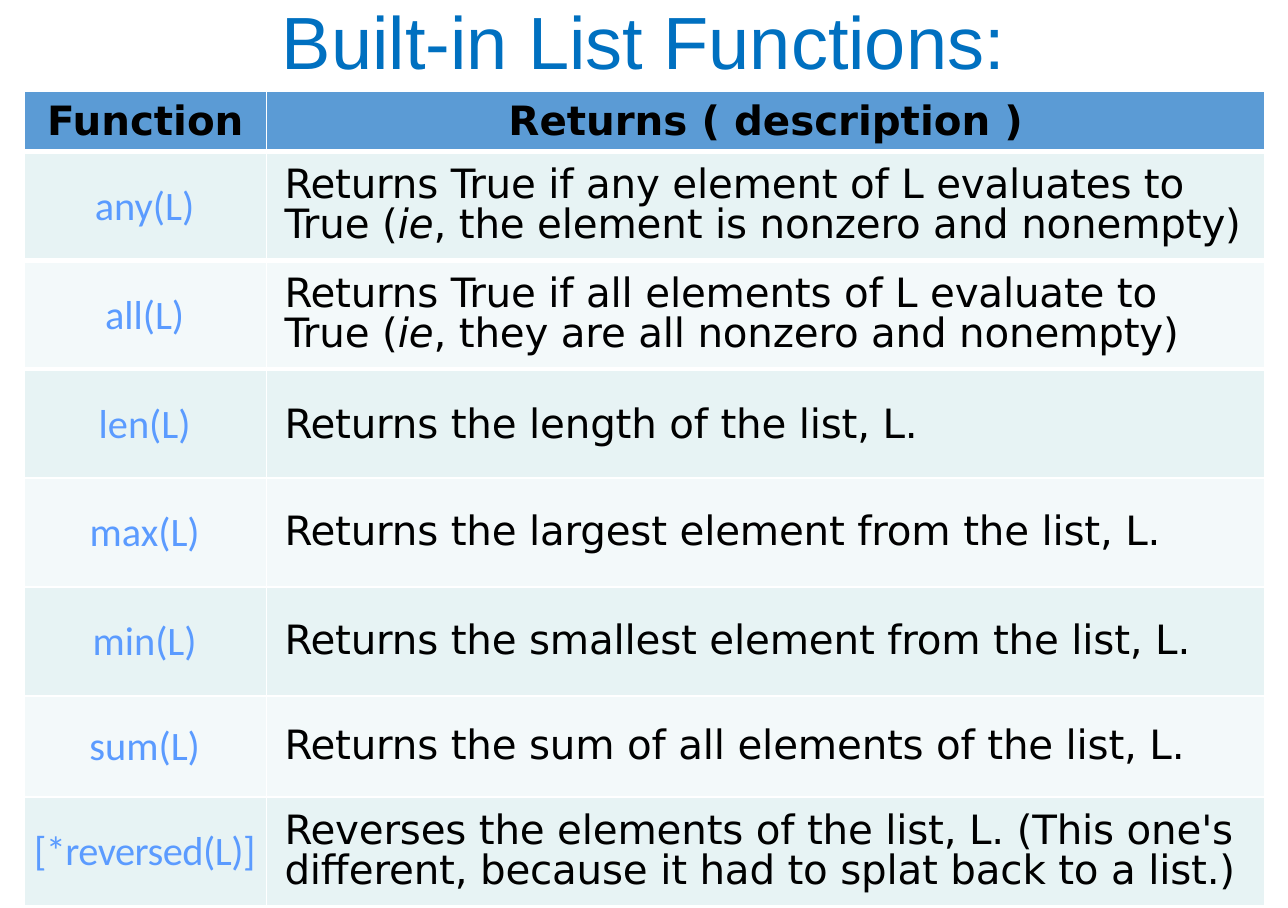
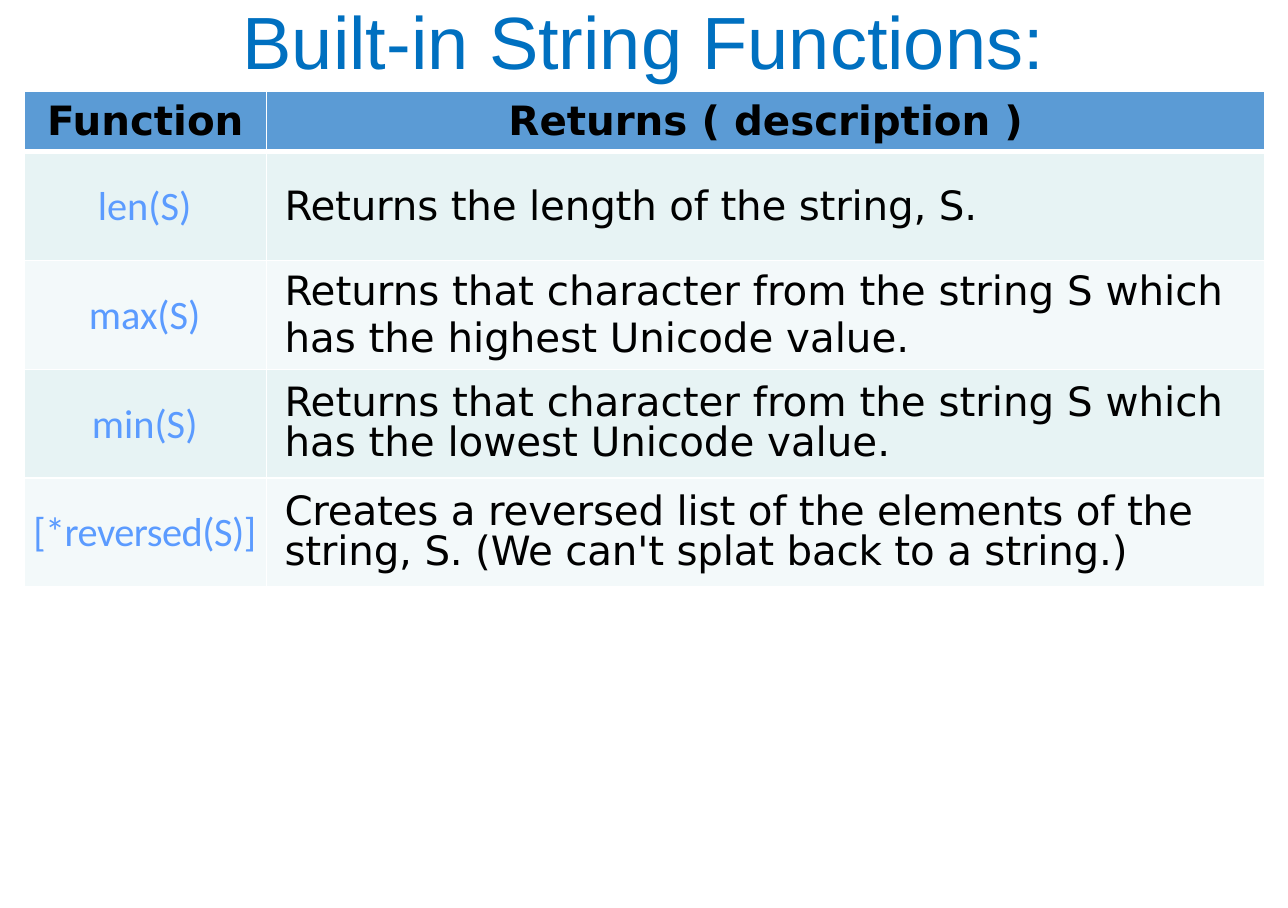
from dataclasses import dataclass

from lxml import etree
from pptx import Presentation
from pptx.dml import color
from pptx.enum import text
from pptx.oxml import ns
from pptx.util import Pt

TITLE_BLUE, HEADER_BLUE, NAME_BLUE = "0070C0", "5B9BD5", "5B9BFF"
BANDS = ("E7F3F4", "F3F9FA")
WHITE, BLACK = "FFFFFF", "000000"
TITLE_FONT, NAME_FONT, BODY_FONT = "Arial", "Calibri", "DejaVu Sans"
TITLE_BOX = (5, 0, 756, 54)
TABLE_LEFT, TABLE_TOP = 14.4, 54
COLUMNS = (144, 594)
HEADER_HEIGHT = 36
THIN, THICK = 1, 3


@dataclass
class Entry:
    """One table row; underscores in the description enclose italics."""
    name: str
    description: str
    line_spacing: float = 0.85
    tracking: float = -0.1
    name_tracking: float = 0
    rule_below: float = THIN
    height: float = 64.8


LIST_ENTRIES = [
    Entry("any(L)", "Returns True if any element of L evaluates to True "
          "(_ie_, the element is nonzero and nonempty)", rule_below=THICK),
    Entry("all(L)", "Returns True if all elements of L evaluate to\nTrue "
          "(_ie_, they are all nonzero and nonempty)", rule_below=THICK),
    Entry("len(L)", "Returns the length of the list, L.", line_spacing=1),
    Entry("max(L)", "Returns the largest element from the list, L."),
    Entry("min(L)", "Returns the smallest element from the list, L."),
    Entry("sum(L)", "Returns the sum of all elements of the list, L.", height=60),
    Entry("[*reversed(L)]", "Reverses the elements of the list, L. (This one's "
          "different, because it had to splat back to a list.)", name_tracking=-0.3),
]
STRING_ENTRIES = [
    Entry("len(S)", "Returns the length of the string, S.", line_spacing=1),
    Entry("max(S)", "Returns that character from the string S which has the "
          "highest Unicode value.", line_spacing=1, tracking=0),
    Entry("min(S)", "Returns that character from the string S which has the "
          "lowest Unicode value.", tracking=0),
    Entry("[*reversed(S)]", "Creates a reversed list of the elements of the "
          "string, S. (We can't splat back to a string.)", name_tracking=-0.3),
]


def rgb(hex_colour):
    return color.RGBColor.from_string(hex_colour)


def style_paragraph(para, font, size, colour, centred=True, bold=False):
    para.alignment = text.PP_ALIGN.CENTER if centred else text.PP_ALIGN.LEFT
    para.font.name, para.font.size, para.font.bold = font, Pt(size), bold
    para.font.color.rgb = rgb(colour)


def add_span(para, wording, tracking=0, italic=False):
    span = para.add_run()
    span.text = wording
    if italic:
        span.font.italic = True
    if tracking:
        span._r.get_or_add_rPr().set("spc", str(round(tracking * 100)))


def add_description(para, entry):
    for index, part in enumerate(entry.description.split("_")):
        for line, wording in enumerate(part.split("\n")):
            if line:
                para.add_line_break()
            add_span(para, wording, entry.tracking, italic=index % 2 == 1)


def format_cell(cell, fill, rule_above, rule_below, left_inset=0.72):
    properties = cell._tc.get_or_add_tcPr()
    for side, width in (("L", THIN), ("R", THIN), ("T", rule_above), ("B", rule_below)):
        line = etree.SubElement(properties, ns.qn(f"a:ln{side}"), w=str(Pt(width)))
        solid = etree.SubElement(line, ns.qn("a:solidFill"))
        etree.SubElement(solid, ns.qn("a:srgbClr"), val=WHITE)
    cell.fill.solid()
    cell.fill.fore_color.rgb = rgb(fill)
    cell.vertical_anchor = text.MSO_ANCHOR.MIDDLE
    cell.margin_left = Pt(left_inset)
    cell.margin_top = cell.margin_right = Pt(0.72)
    cell.margin_bottom = 0


def add_title(page, wording):
    title = page.shapes.title
    title.left, title.top, title.width, title.height = map(Pt, TITLE_BOX)
    frame = title.text_frame
    frame.word_wrap = True
    frame.vertical_anchor = text.MSO_ANCHOR.MIDDLE
    para = frame.paragraphs[0]
    add_span(para, wording)
    para.line_spacing = 0.9
    style_paragraph(para, TITLE_FONT, 44, TITLE_BLUE)


def add_function_table(page, left, top, entries):
    heights = [HEADER_HEIGHT] + [entry.height for entry in entries]
    table = page.shapes.add_table(len(heights), len(COLUMNS), Pt(left), Pt(top),
                                  Pt(sum(COLUMNS)), Pt(sum(heights))).table
    table.horz_banding = False
    for column, width in zip(table.columns, COLUMNS):
        column.width = Pt(width)
    for row, height in zip(table.rows, heights):
        row.height = Pt(height)

    for cell, heading in zip(table.rows[0].cells, ("Function", "Returns ( description )")):
        format_cell(cell, HEADER_BLUE, THIN, THICK)
        para = cell.text_frame.paragraphs[0]
        add_span(para, heading)
        style_paragraph(para, BODY_FONT, 24, BLACK, bold=True)

    rule_above = THICK
    for index, entry in enumerate(entries):
        name_cell, description_cell = table.rows[index + 1].cells
        fill = BANDS[index % 2]
        format_cell(name_cell, fill, rule_above, entry.rule_below, left_inset=0)
        para = name_cell.text_frame.paragraphs[0]
        add_span(para, entry.name, entry.name_tracking)
        style_paragraph(para, NAME_FONT, 24, NAME_BLUE)

        format_cell(description_cell, fill, rule_above, entry.rule_below, left_inset=10.8)
        para = description_cell.text_frame.paragraphs[0]
        add_description(para, entry)
        para.line_spacing = entry.line_spacing
        style_paragraph(para, BODY_FONT, 24, BLACK, centred=False)
        rule_above = entry.rule_below


def add_function_page(deck, title, entries):
    page = deck.slides.add_slide(deck.slide_layouts[5])
    add_function_table(page, TABLE_LEFT, TABLE_TOP, entries)
    add_title(page, title)


def main():
    deck = Presentation()
    deck.slide_width, deck.slide_height = Pt(766), Pt(540)
    add_function_page(deck, "Built-in List Functions:", LIST_ENTRIES)
    add_function_page(deck, "Built-in String Functions:", STRING_ENTRIES)
    deck.save("out.pptx")


if __name__ == "__main__":
    main()
